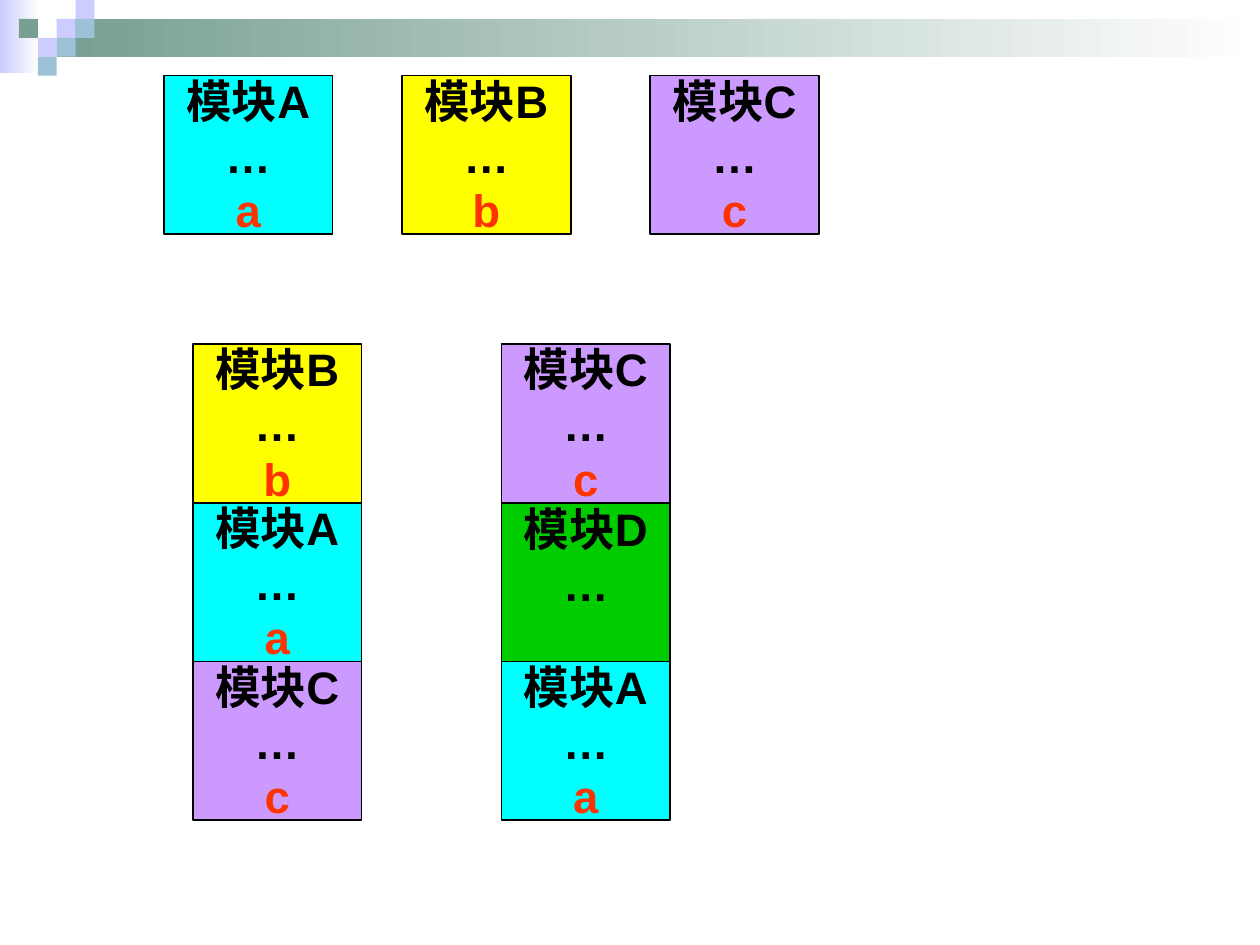
from dataclasses import dataclass
from pptx import Presentation
from pptx.dml.color import RGBColor
from pptx.enum.shapes import MSO_SHAPE
from pptx.enum.text import MSO_ANCHOR, PP_ALIGN
from pptx.shapes.autoshape import Shape
from pptx.util import Inches, Pt

HUES = {
    "white": "FFFFFF", "black": "000000", "red": "FF3300",
    "lilac": "CCCCFF", "sage": "779F92", "sky": "9DC2D7",
    "A": "00FFFF", "B": "FFFF00", "C": "CC99FF", "D": "00CC00",
}
WIDE, HIGH = 10, 7.5
UNIT_W, UNIT_H = 1.5, 2
BOX_W, BOX_H = 13.4, 16.8
LINE = 0.42


@dataclass
class Area:
    left: float
    top: float
    width: float
    height: float


@dataclass
class Pixel:
    col: int
    row: int
    hue: str


@dataclass
class Module:
    name: str
    var: str


@dataclass
class Stack:
    left: float
    names: str


MODULES = {n: Module(n, v) for n, v in zip("ABCD", ("a", "b", "c", ""))}
TOP_ROW = [Stack(13, "A"), Stack(31.9, "B"), Stack(51.6, "C")]
LOADED = [Stack(15.3, "BAC"), Stack(39.8, "CDA")]
FADES = [
    (Area(0, 0, 3.1, 7.7), "lilac"),
    (Area(3 * UNIT_W, UNIT_H, 100 - 3 * UNIT_W, 2 * UNIT_H), "sage"),
]
PIXELS = [
    Pixel(3, 1, "lilac"), Pixel(4, 0, "lilac"), Pixel(4, 1, "sky"),
    Pixel(2, 2, "lilac"), Pixel(1, 1, "sage"), Pixel(3, 2, "sky"),
    Pixel(2, 3, "sky"),
]


def tint(hue: str) -> RGBColor:
    return RGBColor.from_string(HUES[hue])


def add_rect(slide, area: Area) -> Shape:
    rect = slide.shapes.add_shape(
        MSO_SHAPE.RECTANGLE,
        Inches(area.left * WIDE / 100), Inches(area.top * HIGH / 100),
        Inches(area.width * WIDE / 100), Inches(area.height * HIGH / 100))
    rect.shadow.inherit = False
    rect.line.fill.background()
    return rect


def add_fade(slide, area: Area, hue: str) -> None:
    fill = add_rect(slide, area).fill
    fill.gradient()
    fill.gradient_angle = 180
    for stop, name in zip(fill.gradient_stops, ("white", hue)):
        stop.color.rgb = tint(name)


def add_pixel(slide, dot: Pixel) -> None:
    area = Area(dot.col * UNIT_W, dot.row * UNIT_H, UNIT_W, UNIT_H)
    fill = add_rect(slide, area).fill
    fill.solid()
    fill.fore_color.rgb = tint(dot.hue)


def add_module(slide, mod: Module, left: float, top: float) -> None:
    box = add_rect(slide, Area(left, top, BOX_W, BOX_H))
    box.fill.solid()
    box.fill.fore_color.rgb = tint(mod.name)
    box.line.color.rgb = tint("black")
    box.line.width = Pt(1)
    frame = box.text_frame
    frame.word_wrap = False
    frame.vertical_anchor = MSO_ANCHOR.MIDDLE
    frame.margin_bottom = Inches(0.05 if mod.var else 0.05 + LINE)
    lines = [(f"模块{mod.name}", "black"), ("…", "black")]
    if mod.var:
        lines.append((mod.var, "red"))
    for i, (text, hue) in enumerate(lines):
        para = frame.add_paragraph() if i else frame.paragraphs[0]
        para.alignment = PP_ALIGN.CENTER
        run = para.add_run()
        run.text = text
        font = run.font
        font.name, font.size, font.bold = "Arial", Pt(26), True
        font.color.rgb = tint(hue)


def add_stack(slide, stack: Stack, top: float) -> None:
    for row, name in enumerate(stack.names):
        add_module(slide, MODULES[name], stack.left, top + row * BOX_H)


def main() -> None:
    deck = Presentation()
    deck.slide_width, deck.slide_height = Inches(WIDE), Inches(HIGH)
    slide = deck.slides.add_slide(deck.slide_layouts[6])
    for area, hue in FADES:
        add_fade(slide, area, hue)
    for dot in PIXELS:
        add_pixel(slide, dot)
    for top, stacks in ((8, TOP_ROW), (36.4, LOADED)):
        for stack in stacks:
            add_stack(slide, stack, top)
    deck.save("out.pptx")


if __name__ == "__main__":
    main()
